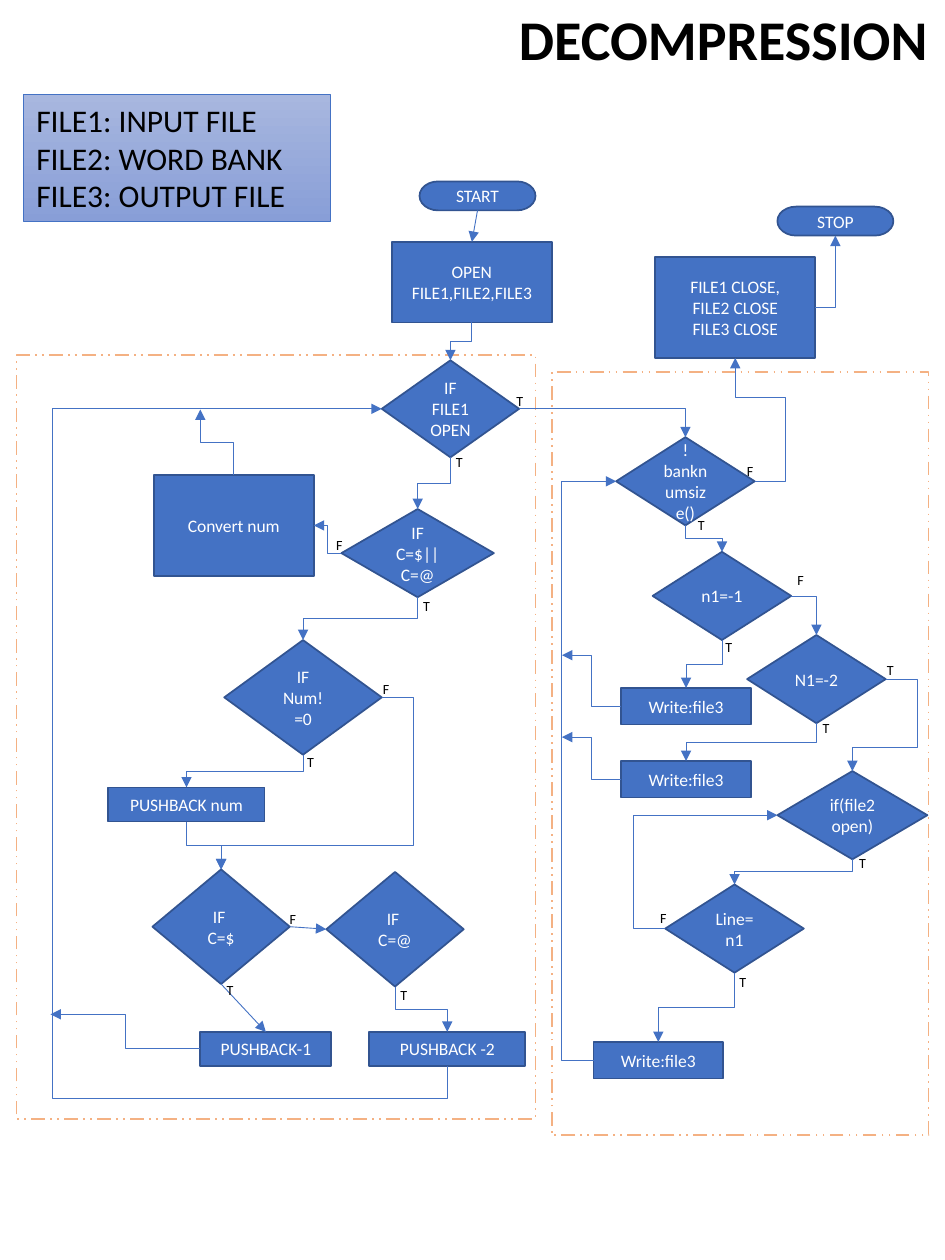
from lxml import etree
from pptx import Presentation
from pptx.dml.color import RGBColor
from pptx.enum.dml import MSO_LINE
from pptx.enum.shapes import MSO_CONNECTOR, MSO_SHAPE
from pptx.enum.text import MSO_ANCHOR, MSO_AUTO_SIZE, PP_ALIGN
from pptx.oxml.ns import qn
from pptx.util import Cm, Pt

BLUE = RGBColor(0x44, 0x72, 0xC4)
NAVY = RGBColor(0x32, 0x54, 0x91)
PEACH = RGBColor(0xF4, 0xB1, 0x83)
PALE = RGBColor(0xA8, 0xB7, 0xDF)
HAZE = RGBColor(0x88, 0x9E, 0xD7)
WHITE = RGBColor(0xFF, 0xFF, 0xFF)
BLACK = RGBColor(0, 0, 0)
FONT = "Calibri"
RECT = MSO_SHAPE.RECTANGLE
GEM = MSO_SHAPE.DIAMOND
PILL = MSO_SHAPE.FLOWCHART_TERMINATOR
BENT, LINE = MSO_CONNECTOR.ELBOW, MSO_CONNECTOR.STRAIGHT
DASH = MSO_LINE.DASH_DOT_DOT
LEFT, CENTER = PP_ALIGN.LEFT, PP_ALIGN.CENTER
TOP, MIDDLE = MSO_ANCHOR.TOP, MSO_ANCHOR.MIDDLE
GROW = MSO_AUTO_SIZE.SHAPE_TO_FIT_TEXT
N, W, S, E = range(4)


def unit(value):
    return Cm(2.54 * value)


def place(box, x, y):
    return unit(box[0] + x), unit(box[1] + y)


def write(shape, text, size, color, align=LEFT, bold=False):
    frame = shape.text_frame
    frame.text = text
    for para in frame.paragraphs:
        para.alignment = align
        for run in para.runs:
            font = run.font
            font.name, font.size, font.bold = FONT, Pt(size), bold
            font.color.rgb = color
    return frame


def block(slide, kind, box, x, y, w, h, line, width):
    shape = slide.shapes.add_shape(kind, *place(box, x, y), unit(w), unit(h))
    shape.shadow.inherit = False
    shape.line.color.rgb = line
    shape.line.width = Pt(width)
    return shape


def node(slide, box, kind, x, y, w, h, text):
    shape = block(slide, kind, box, x, y, w, h, NAVY, 1)
    shape.fill.solid()
    shape.fill.fore_color.rgb = BLUE
    frame = write(shape, text, 10, WHITE, CENTER)
    frame.word_wrap = True
    frame.vertical_anchor = MIDDLE
    return shape


def border(slide, box):
    shape = block(slide, RECT, box, 0, 0, box[2], box[3], PEACH, 1)
    shape.fill.background()
    shape.line.dash_style = DASH


def label(slide, box, text, spots):
    for x, y in spots:
        tag = slide.shapes.add_textbox(*place(box, x, y), unit(0.26), unit(0.24))
        frame = write(tag, text, 8, BLACK)
        frame.word_wrap = False
        frame.auto_size = GROW


def port(shape, side):
    dx, dy = ((0.5, 0), (0, 0.5), (0.5, 1), (1, 0.5))[side]
    return (int(shape.left + dx * shape.width),
            int(shape.top + dy * shape.height))


def bend(link, start, stop, down, turns):
    dx, dy = stop[0] - start[0], stop[1] - start[1]
    if down:
        wide, high = abs(dy), abs(dx)
        angle = 270 if dx > 0 else 90
        flip = (dy > 0) == (dx > 0)
    else:
        wide, high = abs(dx), abs(dy)
        angle = 180 if dy < 0 else 0
        flip = (dx > 0) == (dy < 0)
    link.left = (start[0] + stop[0] - wide) // 2
    link.top = (start[1] + stop[1] - high) // 2
    link.width, link.height = wide, high
    props = link._element.spPr
    form = props.find(qn("a:xfrm"))
    form.set("rot", str(angle * 60000))
    form.set("flipH", str(int(flip)))
    form.set("flipV", "0")
    geom = props.find(qn("a:prstGeom"))
    geom.set("prst", f"bentConnector{len(turns) + 2}")
    guides = geom.find(qn("a:avLst"))
    for i, turn in enumerate(turns, 1):
        etree.SubElement(guides, qn("a:gd"), name=f"adj{i}",
                         fmla=f"val {round(turn * 100000)}")


def join(slide, first, side, last, end=None, turns=(0.5,)):
    start = port(first, side)
    stop = last if end is None else port(last, end)
    kind = LINE if turns is None else BENT
    link = slide.shapes.add_connector(kind, *start, *stop)
    link.begin_connect(first, side)
    if end is not None:
        link.end_connect(last, end)
    if turns is not None:
        bend(link, start, stop, side in (N, S), turns)
    link.line.color.rgb = BLUE
    link.line.width = Pt(0.5)
    etree.SubElement(link.line._get_or_add_ln(), qn("a:tailEnd"), type="triangle")
    etree.SubElement(link._element.spPr, qn("a:effectLst"))


def header(slide, box):
    title = slide.shapes.add_textbox(*place(box, 3.83, 0), unit(3.48), unit(0.64))
    frame = write(title, "DECOMPRESSION", 32, BLACK, bold=True)
    frame.word_wrap = True
    frame.auto_size = GROW
    key = block(slide, RECT, box, 0, 0.76, 2.43, 1.01, BLUE, 0.5)
    key.fill.gradient()
    key.fill.gradient_angle = 270
    for stop, color in zip(key.fill.gradient_stops, (PALE, HAZE)):
        stop.color.rgb = color
    text = "FILE1: INPUT FILE\nFILE2: WORD BANK\nFILE3: OUTPUT FILE"
    frame = write(key, text, 18, BLACK)
    frame.word_wrap = True
    frame.vertical_anchor = TOP
    frame.auto_size = GROW


def opening(slide, box):
    start = node(slide, box, PILL, 0.22, 0, 0.92, 0.23, "START")
    files = node(slide, box, RECT, 0, 0.48, 1.27, 0.64, "OPEN FILE1,FILE2,FILE3")
    join(slide, start, S, files, N, None)
    return files


def closing(slide, box):
    stop = node(slide, box, PILL, 0.97, 0, 0.92, 0.23, "STOP")
    files = node(slide, box, RECT, 0, 0.4, 1.27, 0.8,
                 "FILE1 CLOSE,\nFILE2 CLOSE\nFILE3 CLOSE")
    join(slide, files, E, stop, S, ())
    return files


def reader(slide, box):
    border(slide, box)
    file = node(slide, box, GEM, 2.9, 0.04, 1.09, 0.77, "IF\nFILE1OPEN")
    sign = node(slide, box, GEM, 2.58, 1.22, 1.21, 0.7, "IF\nC=$||C=@")
    count = node(slide, box, GEM, 1.65, 2.26, 1.25, 0.91, "IF\nNum!=0")
    change = node(slide, box, RECT, 1.09, 0.95, 1.27, 0.8, "Convert num")
    cash = node(slide, box, GEM, 1.08, 4.08, 1.09, 0.91, "IF \nC=$")
    push = node(slide, box, RECT, 0.73, 3.43, 1.24, 0.27, "PUSHBACK num")
    one = node(slide, box, RECT, 1.46, 5.37, 1.04, 0.27, "PUSHBACK-1")
    at = node(slide, box, GEM, 2.46, 4.1, 1.09, 0.91, "IF \nC=@")
    two = node(slide, box, RECT, 2.8, 5.37, 1.24, 0.27, "PUSHBACK -2")
    for first, last in ((file, sign), (sign, count), (count, push),
                        (push, cash), (at, two)):
        join(slide, first, S, last, N)
    join(slide, sign, W, change, E)
    join(slide, cash, S, one, N, None)
    join(slide, cash, E, at, W, None)
    join(slide, count, E, cash, N, (-0.2, 0.86))
    join(slide, two, S, file, W, (-0.05, 6.02))
    join(slide, change, N, place(box, 1.46, 0.43))
    join(slide, one, W, place(box, 0.27, 5.23))
    label(slide, box, "T", ((3.39, 0.73), (3.13, 1.87), (2.95, 4.96), (1.57, 4.92),
                            (2.21, 3.11), (3.87, 0.25)))
    label(slide, box, "F", ((2.44, 1.39), (2.07, 4.36), (2.81, 2.53)))
    return file


def lookup(slide, box):
    border(slide, box)
    bank, minus, twice, line = [
        node(slide, box, GEM, x, y, 1.1, 0.7, text) for x, y, text in (
            (0.51, 0.52, "!banknumsize()"), (0.8, 1.43, "n1=-1"),
            (1.55, 2.09, "N1=-2"), (0.9, 4.07, "Line=n1"))]
    file = node(slide, box, GEM, 1.79, 3.17, 1.19, 0.7, "if(file2 open)")
    one, two, three = [
        node(slide, box, RECT, x, y, 1.03, 0.29, "Write:file3")
        for x, y in ((0.55, 2.51), (0.55, 3.09), (0.33, 5.32))]
    for first, last in ((bank, minus), (minus, one), (twice, two),
                        (file, line), (line, three)):
        join(slide, first, S, last, N)
    join(slide, minus, E, twice, N, ())
    join(slide, twice, E, file, N, (-0.94, 0.74))
    join(slide, line, W, file, W, (-0.28,))
    join(slide, three, W, bank, W, (-1.4,))
    join(slide, one, W, place(box, 0.08, 2.25))
    join(slide, two, W, place(box, 0.08, 2.9))
    label(slide, box, "T", ((1.06, 1.1), (1.28, 2.07), (2.05, 2.71), (2.34, 3.78),
                            (1.39, 4.73), (2.56, 2.25)))
    label(slide, box, "F", ((1.45, 0.67), (1.85, 1.54), (0.76, 4.22)))
    return bank


deck = Presentation()
deck.slide_width, deck.slide_height = unit(7.5), unit(10)
page = deck.slides.add_slide(deck.slide_layouts[6])
header(page, (0.19, -0.01))
begin = opening(page, (3.11, 1.44))
final = closing(page, (5.2, 1.64))
read = reader(page, (0.13, 2.82, 4.12, 6.06))
bank = lookup(page, (4.38, 2.95, 2.99, 6.06))
join(page, begin, S, read, N)
join(page, read, E, bank, N, ())
join(page, bank, E, final, S, (-1.56, 0.68))
deck.save("out.pptx")
